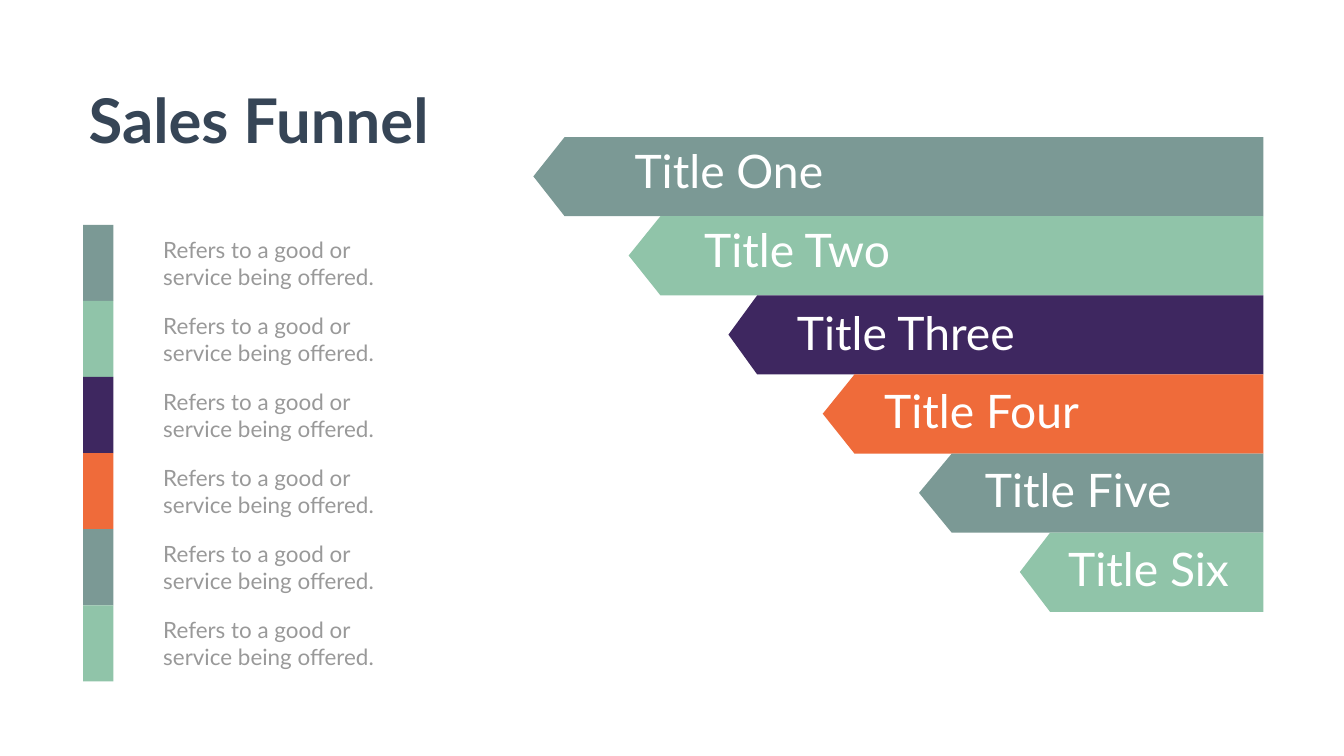
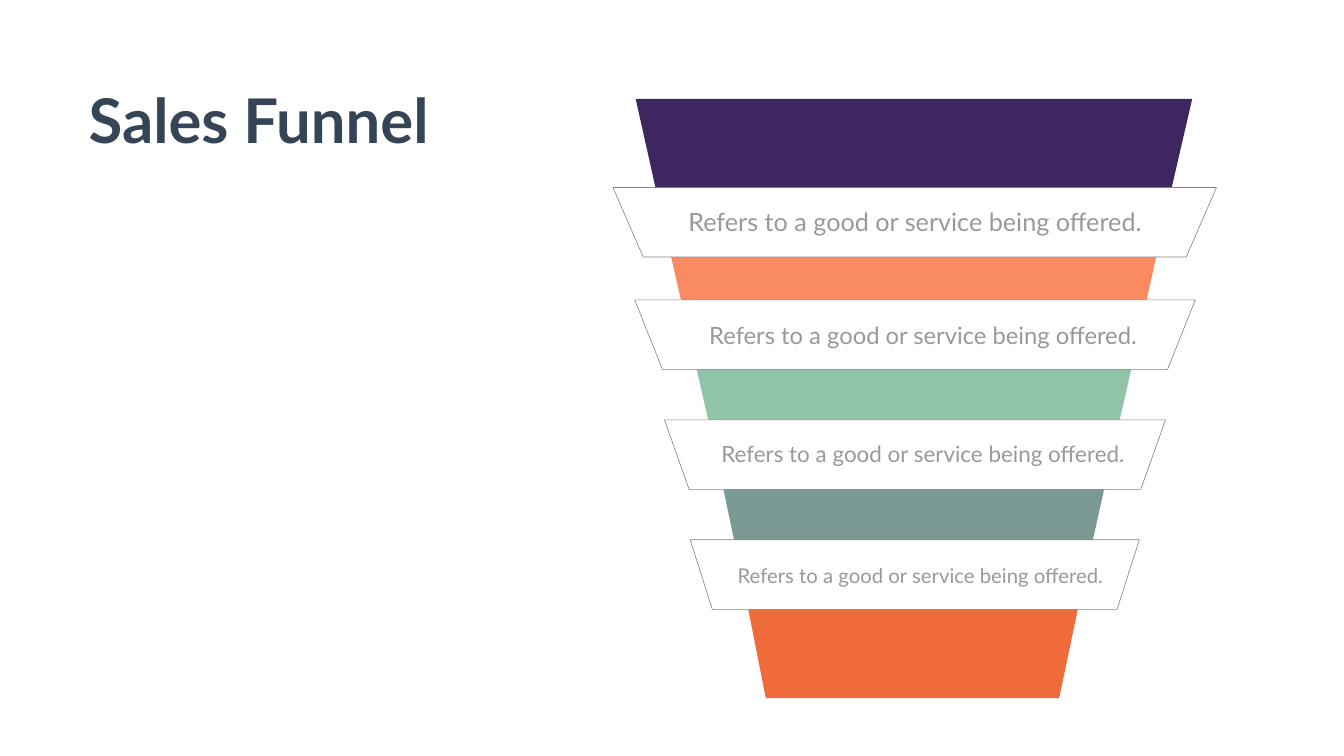
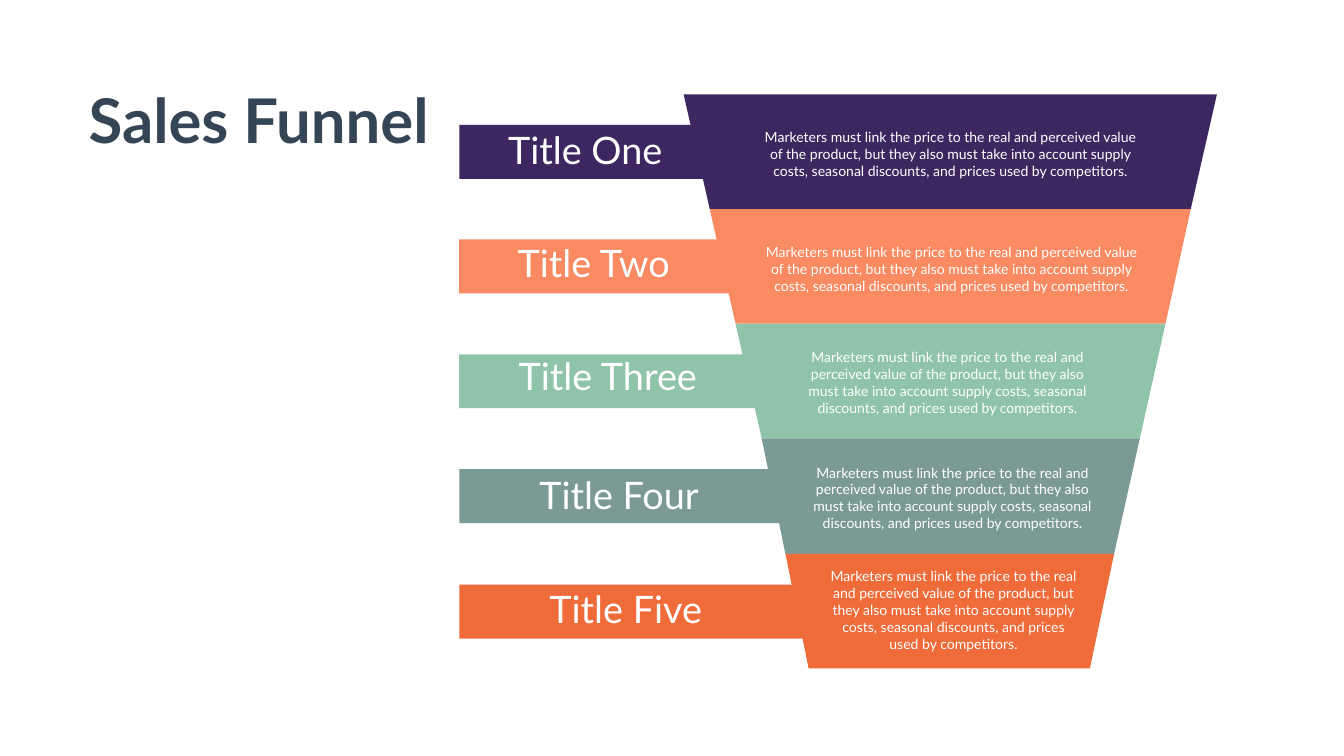
from pptx import Presentation
from pptx import util as u
from pptx.dml.color import RGBColor
from pptx.enum import shapes, text

PX = 9144  # one px is a hundredth of an inch
FONT = "Lato"
COLORS = {
    "slate": "7B9995",
    "mint": "90C4A9",
    "purple": "3E2760",
    "orange": "EF6B3A",
    "coral": "F98A61",
    "navy": "364556",
    "gray": "999999",
    "outline": "818285",
    "white": "FFFFFF",
}
STEP_COLORS = ["slate", "mint", "purple", "orange", "slate", "mint"]
FUNNEL_COLORS = ["purple", "coral", "mint", "slate", "orange"]
OFFER = "Refers to a good or service being offered."
PRICING = (
    "Marketers must link the price to the real and perceived value of the product, "
    "but they also must take into account supply costs, seasonal discounts, "
    "and prices used by competitors."
)


def paint(shape, color):
    shape.shadow.inherit = False
    shape.fill.solid()
    shape.fill.fore_color.rgb = RGBColor.from_string(COLORS[color])
    shape.line.fill.background()


def write(box, content, size, color, centered=False, bold=False):
    """Fill a box with text; centered text wraps, left-aligned text does not."""
    frame = box.text_frame
    frame.text = content
    frame.word_wrap = centered
    frame.auto_size = text.MSO_AUTO_SIZE.SHAPE_TO_FIT_TEXT
    frame.vertical_anchor = text.MSO_ANCHOR.TOP
    for para in frame.paragraphs:
        para.alignment = text.PP_ALIGN.CENTER if centered else text.PP_ALIGN.LEFT
        for span in para.runs:
            span.font.name = FONT
            span.font.size = u.Pt(size)
            span.font.bold = bold
            span.font.color.rgb = RGBColor.from_string(COLORS[color])


deck = Presentation()
deck.slide_width, deck.slide_height = 2666 * PX, 1500 * PX
title_only = deck.slide_layouts[5]

pages = []
for _ in range(3):
    page = deck.slides.add_slide(title_only)
    title = page.shapes.title
    title.left, title.top, title.width, title.height = 166 * PX, 157 * PX, 704 * PX, 158 * PX
    write(title, "Sales Funnel", 88, "navy", bold=True)
    pages.append(page)
steps_page, labels_page, details_page = pages

# Slide 1: stepped arrows with a colour key
# tip x, shoulder x, title, title left, title top, title width
arrows = [
    (1058, 1120, "Title One", 1249, 278, 400),
    (1247, 1310, "Title Two", 1387, 434, 405),
    (1445, 1502, "Title Three", 1571, 598, 463),
    (1632, 1695, "Title Four", 1744, 754, 415),
    (1823, 1888, "Title Five", 1944, 911, 396),
    (2023, 2083, "Title Six", 2109, 1068, 343),
]
ARROW_RIGHT, ARROW_HEIGHT = 2506, 157
for i, (tip, shoulder, name, left, top, width) in enumerate(arrows):
    arrow_top = 272 + ARROW_HEIGHT * i
    bottom = arrow_top + ARROW_HEIGHT
    outline = steps_page.shapes.build_freeform(ARROW_RIGHT, bottom, PX)
    outline.add_line_segments([
        (shoulder, bottom), (tip, arrow_top + 78),
        (shoulder, arrow_top), (ARROW_RIGHT, arrow_top),
    ])
    paint(outline.convert_to_shape(), STEP_COLORS[i])
    box = steps_page.shapes.add_textbox(left * PX, top * PX, width * PX, 121 * PX)
    write(box, name, 66, "white")

KEY_HEIGHT = 151
for i, color in enumerate(STEP_COLORS):
    key_top = 446 + KEY_HEIGHT * i
    swatch = steps_page.shapes.add_shape(
        shapes.MSO_SHAPE.RECTANGLE, 165 * PX, key_top * PX, 60 * PX, KEY_HEIGHT * PX)
    paint(swatch, color)
    box = steps_page.shapes.add_textbox(314 * PX, (key_top + 17) * PX, 446 * PX, 118 * PX)
    write(box, "Refers to a good or\nservice being offered.", 32, "gray")

# Slides 2 and 3: five funnel bands between level lines (left, right, y)
funnels = [
    (labels_page, [(1261, 2365, 196), (1314, 2310, 434), (1368, 2258, 671),
                   (1422, 2204, 909), (1472, 2151, 1147), (1519, 2101, 1385)]),
    (details_page, [(1356, 2414, 187), (1408, 2362, 415), (1459, 2312, 642),
                    (1511, 2261, 870), (1558, 2210, 1099), (1604, 2162, 1326)]),
]
for page, levels in funnels:
    for color, upper, lower in zip(FUNNEL_COLORS, levels, levels[1:]):
        outline = page.shapes.build_freeform(upper[0], upper[2], PX)
        outline.add_line_segments([
            (lower[0], lower[2]), (lower[1], lower[2]), (upper[1], upper[2])])
        paint(outline.convert_to_shape(), color)

# Slide 2: outlined labels across the joints
# left, top, width, slant, text left, text top, text height, text size
labels = [
    (1216, 372, 1197, 60, 1347, 404, 71, 36),
    (1259, 595, 1112, 55, 1363, 631, 67, 34),
    (1318, 833, 994, 49, 1363, 868, 64, 32),
    (1369, 1071, 891, 44, 1358, 1113, 59, 29),
]
for left, top, width, slant, text_left, text_top, text_height, size in labels:
    right, bottom = left + width, top + 138
    outline = labels_page.shapes.build_freeform(left, top, PX)
    outline.add_line_segments([(right, top), (right - slant, bottom), (left + slant, bottom)])
    label = outline.convert_to_shape()
    paint(label, "white")
    label.line.color.rgb = RGBColor.from_string(COLORS["outline"])
    label.line.width = u.Pt(0.88)
    box = labels_page.shapes.add_textbox(
        text_left * PX, text_top * PX, 936 * PX, text_height * PX)
    write(box, OFFER, size, "gray", centered=True)

# Slide 3: title bars running into the funnel, with details inside it
# bar top, bar width, title, title box (left, top, width), details box
bars = [
    (248, 601, "Title One", (998, 246, 330), (1497, 250, 777, 111)),
    (475, 614, "Title Two", (1017, 471, 335), (1499, 478, 777, 111)),
    (703, 643, "Title Three", (1019, 695, 382), (1572, 687, 615, 145)),
    (931, 678, "Title Four", (1060, 930, 343), (1582, 916, 615, 145)),
    (1160, 702, "Title Five", (1080, 1158, 328), (1631, 1122, 521, 178)),
]
for color, (bar_top, bar_width, name, (left, top, width), details) in zip(FUNNEL_COLORS, bars):
    bar = details_page.shapes.add_shape(
        shapes.MSO_SHAPE.RECTANGLE, 911 * PX, bar_top * PX, bar_width * PX, 107 * PX)
    paint(bar, color)
    box = details_page.shapes.add_textbox(left * PX, top * PX, width * PX, 101 * PX)
    write(box, name, 54, "white")
    box = details_page.shapes.add_textbox(*(length * PX for length in details))
    write(box, PRICING, 20, "white", centered=True)

deck.save("out.pptx")
